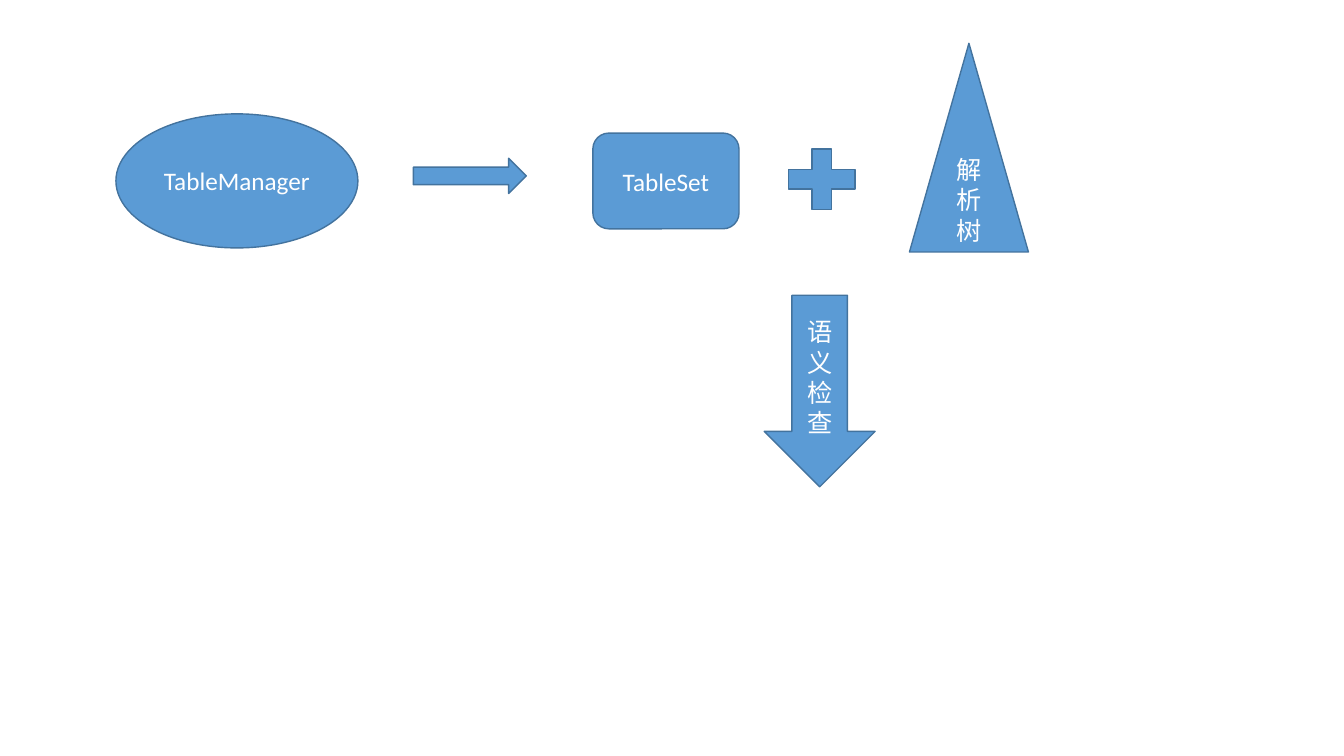
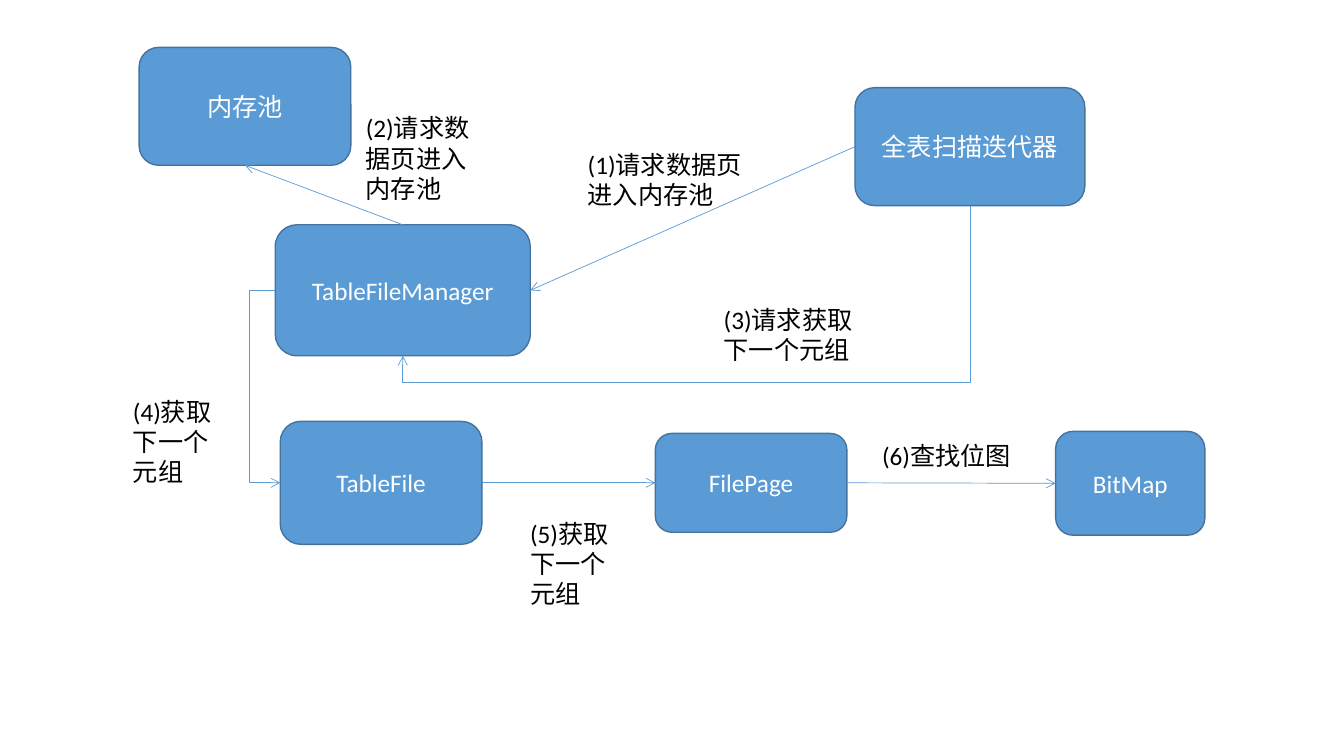
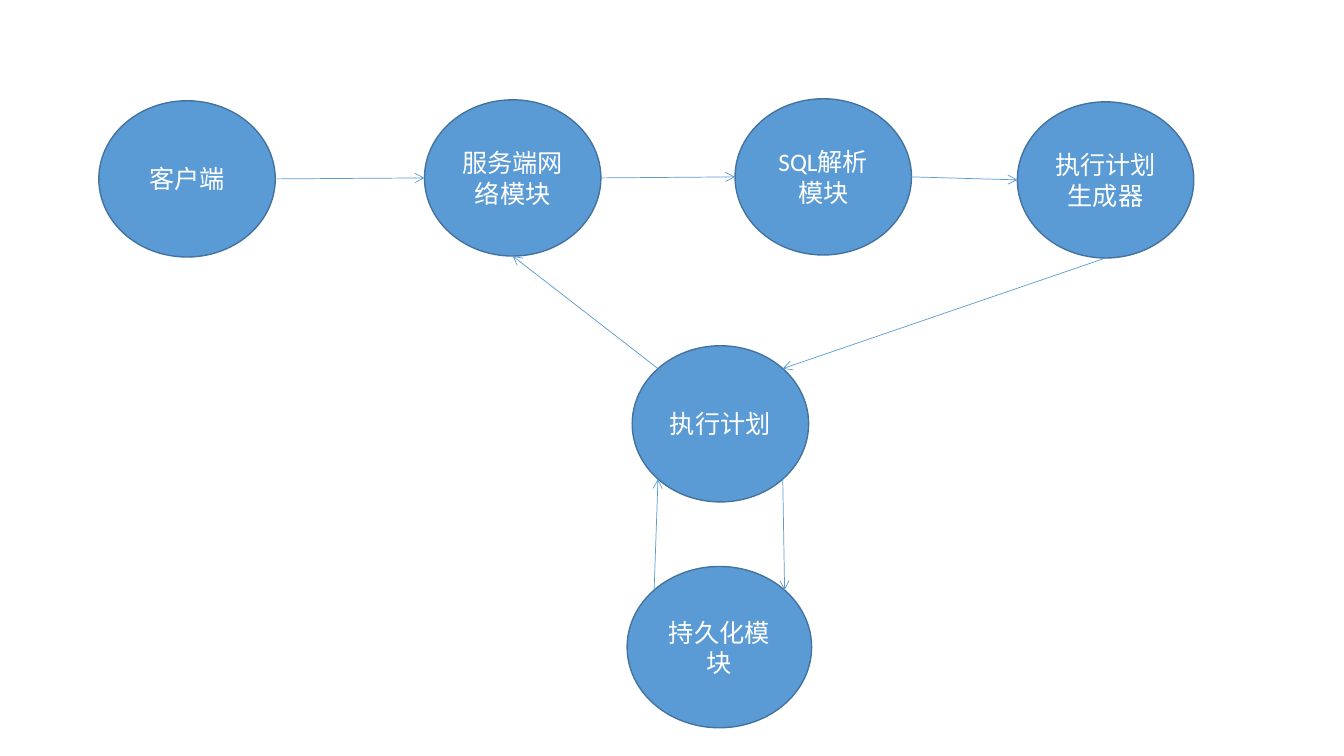
from math import cos, radians, sin

from lxml.etree import SubElement
from pptx import Presentation
from pptx.dml.color import RGBColor
from pptx.enum.shapes import MSO_CONNECTOR as CONN, MSO_SHAPE as SHP
from pptx.enum.text import MSO_ANCHOR, MSO_AUTO_SIZE, PP_ALIGN
from pptx.oxml.ns import qn
from pptx.util import Inches, Pt

BLUE = RGBColor(0x5B, 0x9B, 0xD5)
EDGE = RGBColor(0x43, 0x73, 0x9E)
WHITE = RGBColor(0xFF, 0xFF, 0xFF)
BLACK = RGBColor(0x00, 0x00, 0x00)

FONT = {"name": "Calibri", "size": Pt(18)}
NODE_FRAME = {"word_wrap": True, "vertical_anchor": MSO_ANCHOR.MIDDLE}
NOTE_FRAME = {"word_wrap": True, "auto_size": MSO_AUTO_SIZE.SHAPE_TO_FIT_TEXT}
TOP, LEFT, BOTTOM, RIGHT = range(4)


def apply(target, values):
    for name, value in values.items():
        setattr(target, name, value)


def write(sp, text, frame, color, align):
    tf = sp.text_frame
    apply(tf, frame)
    p = tf.paragraphs[0]
    p.alignment = align
    r = p.add_run()
    r.text = text
    apply(r.font, FONT)
    r.font.color.rgb = color


def node(s, kind, box, text=""):
    sp = s.shapes.add_shape(kind, *map(Inches, box))
    sp.shadow.inherit = False
    sp.fill.solid()
    sp.fill.fore_color.rgb = BLUE
    sp.line.color.rgb = EDGE
    sp.line.width = Pt(1)
    if text:
        write(sp, text, NODE_FRAME, WHITE, PP_ALIGN.CENTER)
    return sp


def note(s, box, text):
    sp = s.shapes.add_textbox(*map(Inches, box))
    write(sp, text, NOTE_FRAME, BLACK, PP_ALIGN.LEFT)


def arrow(s, start, end, kind=CONN.STRAIGHT):
    c = s.shapes.add_connector(kind, *start, *end)
    c.line.color.rgb = BLUE
    c.line.width = Pt(0.5)
    SubElement(c.line._get_or_add_ln(), qn("a:tailEnd"), type="arrow")
    SubElement(c._element.spPr, qn("a:effectLst"))
    return c


def link(s, source, source_side, target, target_side):
    c = arrow(s, (0, 0), (0, 0))
    c.begin_connect(source, source_side)
    c.end_connect(target, target_side)


def side(sp, where):
    dx, dy = {TOP: (1, 0), LEFT: (0, 1), BOTTOM: (1, 2), RIGHT: (2, 1)}[where]
    return sp.left + sp.width * dx // 2, sp.top + sp.height * dy // 2


def rim(sp, degrees):
    a = radians(degrees)
    return (round(sp.left + sp.width * (1 + cos(a)) / 2),
            round(sp.top + sp.height * (1 + sin(a)) / 2))


def bend(c, ratio):
    guides = c._element.spPr.find(qn("a:prstGeom")).get_or_add_avLst()
    SubElement(guides, qn("a:gd"), name="adj1", fmla=f"val {round(ratio * 100000)}")


def turn_quarter(c):
    w, h = c.width, c.height
    middle_x, middle_y = c.left + w // 2, c.top + h // 2
    apply(c, {"left": middle_x - h // 2, "top": middle_y - w // 2,
              "width": h, "height": w})
    xfrm = c._element.spPr.find(qn("a:xfrm"))
    xfrm.attrib.pop("flipH", None)
    xfrm.set("rot", str(90 * 60000))


def semantic_check(s):
    for kind, box, text in (
        (SHP.OVAL, (1.15, 1.13, 2.4, 1.33), "TableManager"),
        (SHP.RIGHT_ARROW, (4.1, 1.57, 1.12, 0.35), ""),
        (SHP.ROUNDED_RECTANGLE, (5.88, 1.32, 1.45, 0.95), "TableSet"),
        (SHP.ISOSCELES_TRIANGLE, (9.02, 0.43, 1.18, 2.07), "解析树"),
        (SHP.DOWN_ARROW, (7.58, 2.93, 1.1, 1.9), "语义检查"),
        (SHP.MATH_PLUS, (7.7, 1.37, 0.9, 0.82), ""),
    ):
        node(s, kind, box, text)


def table_scan(s):
    scan, manager, pool, file, page, bitmap = [
        node(s, SHP.ROUNDED_RECTANGLE, box, text) for box, text in (
            ((8.48, 0.87, 2.28, 1.17), "全表扫描迭代器"),
            ((2.73, 2.23, 2.53, 1.3), "TableFileManager"),
            ((1.38, 0.47, 2.1, 1.17), "内存池"),
            ((2.78, 4.18, 2, 1.22), "TableFile"),
            ((6.5, 4.3, 1.9, 0.98), "FilePage"),
            ((10.47, 4.28, 1.48, 1.03), "BitMap"),
        )]
    for ends in (
        (scan, LEFT, manager, RIGHT),
        (manager, TOP, pool, BOTTOM),
        (file, RIGHT, page, LEFT),
        (page, RIGHT, bitmap, LEFT),
    ):
        link(s, *ends)

    next_tuple = arrow(s, side(scan, BOTTOM), side(manager, BOTTOM), CONN.ELBOW)
    turn_quarter(next_tuple)
    bend(next_tuple, 1.174)
    from_file = arrow(s, side(manager, LEFT), side(file, LEFT), CONN.ELBOW)
    bend(from_file, -5.208)

    for number, (box, text) in enumerate((
        ((5.73, 1.43, 1.92, 0.7), "请求数据页进入内存池"),
        ((3.53, 1.07, 1.3, 1), "请求数据页进入内存池"),
        ((7.08, 2.97, 1.53, 0.7), "请求获取下一个元组"),
        ((1.22, 3.88, 1.07, 1), "获取下一个元组"),
        ((5.16, 5.09, 1.07, 1), "获取下一个元组"),
        ((8.65, 4.32, 1.67, 0.4), "查找位图"),
    ), 1):
        note(s, box, f"({number}){text}")


def query_flow(s):
    client, server, parser, plan, planner, storage = [
        node(s, SHP.OVAL, (x, y, w, h), text) for x, y, w, h, text in (
            (0.98, 1, 1.75, 1.55, "客户端"),
            (4.21, 0.99, 1.75, 1.55, "服务端网络模块"),
            (7.29, 0.98, 1.75, 1.55, "SQL解析模块"),
            (6.27, 3.43, 1.75, 1.55, "执行计划"),
            (10.09, 1.01, 1.75, 1.55, "执行计划生成器"),
            (6.22, 5.62, 1.83, 1.6, "持久化模块"),
        )]
    for source, source_angle, target, target_angle in (
        (client, 0, server, 180),
        (server, 0, parser, 180),
        (parser, 0, planner, 180),
        (planner, 90, plan, 315),
        (plan, 225, server, 90),
        (plan, 45, storage, 315),
        (storage, 225, plan, 135),
    ):
        arrow(s, rim(source, source_angle), rim(target, target_angle))


def main():
    prs = Presentation()
    apply(prs, {"slide_width": Inches(13.33), "slide_height": Inches(7.5)})
    for build in (semantic_check, table_scan, query_flow):
        build(prs.slides.add_slide(prs.slide_layouts[6]))
    prs.save("out.pptx")


if __name__ == "__main__":
    main()
